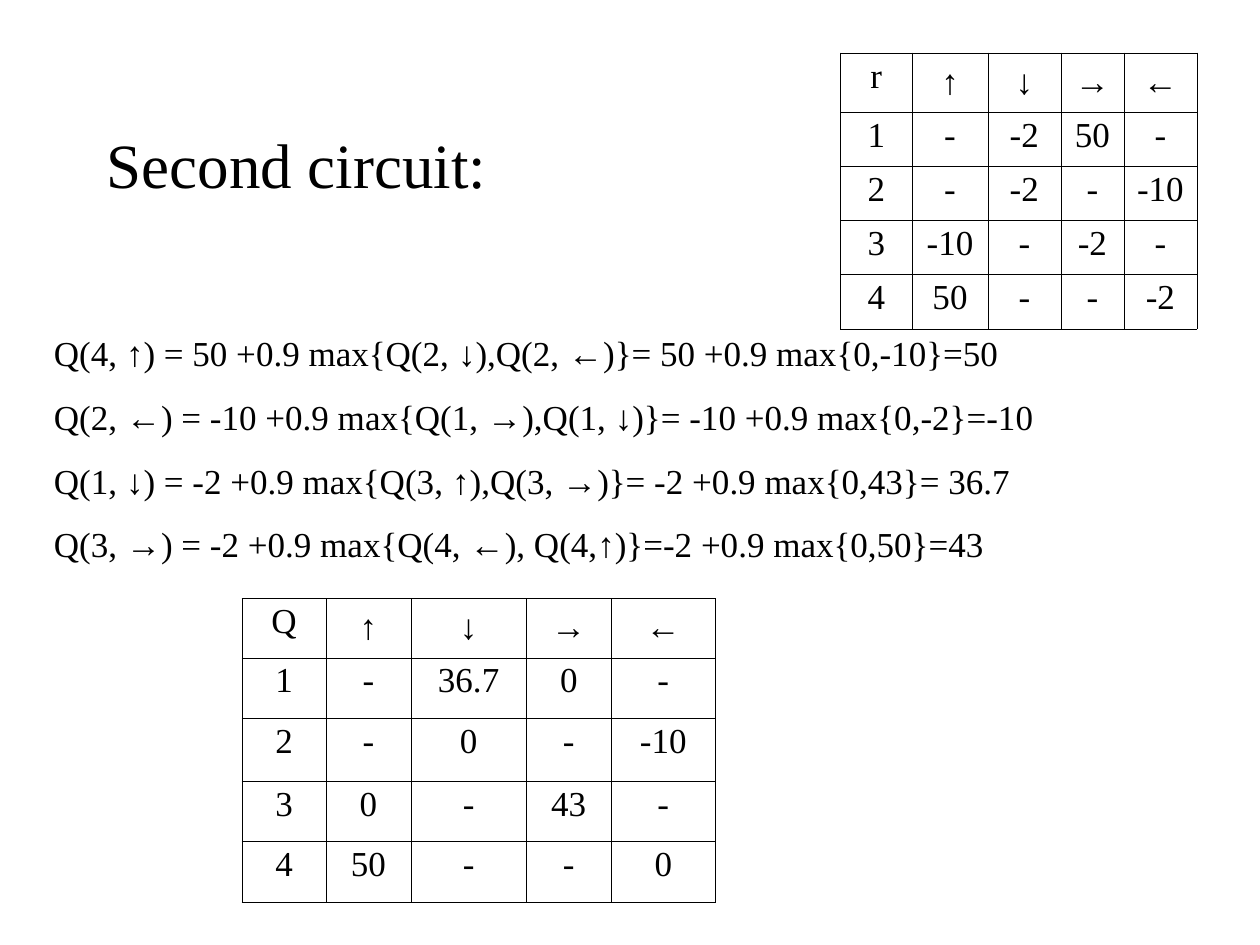
from itertools import groupby

from lxml import etree
from pptx import Presentation
from pptx.dml.color import RGBColor
from pptx.enum.text import MSO_ANCHOR, MSO_AUTO_SIZE, PP_ALIGN
from pptx.oxml.ns import qn
from pptx.util import Inches, Pt

CENTER = PP_ALIGN.CENTER
TOP = MSO_ANCHOR.TOP
MIDDLE = MSO_ANCHOR.MIDDLE
NO_AUTOSIZE = MSO_AUTO_SIZE.NONE
GROW = MSO_AUTO_SIZE.SHAPE_TO_FIT_TEXT

COLORS = {"text": "000000", "border": "000000"}
TEXT_FONT = "Times New Roman"
ARROW_FONT = "Arial"
ARROWS = "↑↓→←"
BODY_SIZE = 20

EQUATIONS = [
    "Q(4, ↑) = 50 +0.9 max{Q(2, ↓),Q(2, ←)}= 50 +0.9 max{0,-10}=50",
    "Q(2, ←) = -10 +0.9 max{Q(1, →),Q(1, ↓)}= -10 +0.9 max{0,-2}=-10",
    "Q(1, ↓) = -2 +0.9 max{Q(3, ↑),Q(3, →)}= -2 +0.9 max{0,43}= 36.7",
    "Q(3, →) = -2 +0.9 max{Q(4, ←), Q(4,↑)}=-2 +0.9 max{0,50}=43",
]
REWARDS = [
    ["-", "-2", "50", "-"],
    ["-", "-2", "-", "-10"],
    ["-10", "-", "-2", "-"],
    ["50", "-", "-", "-2"],
]
Q_VALUES = [
    ["-", "36.7", "0", "-"],
    ["-", "0", "-", "-10"],
    ["0", "-", "43", "-"],
    ["50", "-", "-", "0"],
]


def add_runs(paragraph, text, size):
    for is_arrow, chars in groupby(text, lambda char: char in ARROWS):
        run = paragraph.add_run()
        run.text = "".join(chars)
        run.font.name = ARROW_FONT if is_arrow else TEXT_FONT
        run.font.size = Pt(size)
        run.font.color.rgb = RGBColor.from_string(COLORS["text"])


def add_text(slide, box, lines, size, anchor=TOP, space_before=0, autosize=NO_AUTOSIZE):
    frame = slide.shapes.add_textbox(*map(Inches, box)).text_frame
    frame.word_wrap = True
    frame.auto_size = autosize
    frame.vertical_anchor = anchor
    for index, line in enumerate(lines):
        paragraph = frame.add_paragraph() if index else frame.paragraphs[0]
        paragraph.space_before = Pt(space_before)
        add_runs(paragraph, line, size)


def add_borders(cell):
    properties = cell._tc.get_or_add_tcPr()
    for position, side in enumerate(("lnL", "lnR", "lnT", "lnB")):
        line = etree.Element(qn(f"a:{side}"), w=str(Pt(0.23)))
        fill = etree.SubElement(line, qn("a:solidFill"))
        etree.SubElement(fill, qn("a:srgbClr"), val=COLORS["border"])
        properties.insert(position, line)


def fill_cell(cell, text):
    cell.fill.background()
    add_borders(cell)
    paragraph = cell.text_frame.paragraphs[0]
    paragraph.alignment = CENTER
    paragraph.space_before = Pt(5)
    paragraph.line_spacing = 1.09 if text in ARROWS else 0.93
    add_runs(paragraph, text, BODY_SIZE)


def add_state_table(slide, left, top, widths, heights, symbol, values):
    rows = [[symbol, *ARROWS]]
    rows += [[str(state), *row] for state, row in enumerate(values, 1)]
    table = slide.shapes.add_table(
        len(rows), len(widths), Inches(left), Inches(top),
        Inches(sum(widths)), Inches(sum(heights)),
    ).table
    table.first_row = False
    table.horz_banding = False
    for column, width in zip(table.columns, widths):
        column.width = Inches(width)
    for table_row, height, row in zip(table.rows, heights, rows):
        table_row.height = Inches(height)
        for cell, text in zip(table_row.cells, row):
            fill_cell(cell, text)


def main():
    presentation = Presentation()
    presentation.slide_width = Inches(10)
    presentation.slide_height = Inches(7.5)
    slide = presentation.slides.add_slide(presentation.slide_layouts[6])

    add_text(slide, (0.75, 0.67, 8.5, 1.25), ["Second circuit:"], 36, anchor=MIDDLE)
    add_text(slide, (0.33, 2.58, 9.67, 1.96), EQUATIONS, BODY_SIZE,
             space_before=12.5, autosize=GROW)
    add_state_table(slide, 6.67, 0.42, [0.57, 0.6, 0.58, 0.5, 0.58],
                    [0.47] + [0.43] * 4, "r", REWARDS)
    add_state_table(slide, 1.92, 4.75, [0.67, 0.67, 0.92, 0.67, 0.83],
                    [0.47, 0.48, 0.5, 0.48, 0.48], "Q", Q_VALUES)

    presentation.save("out.pptx")


if __name__ == "__main__":
    main()
